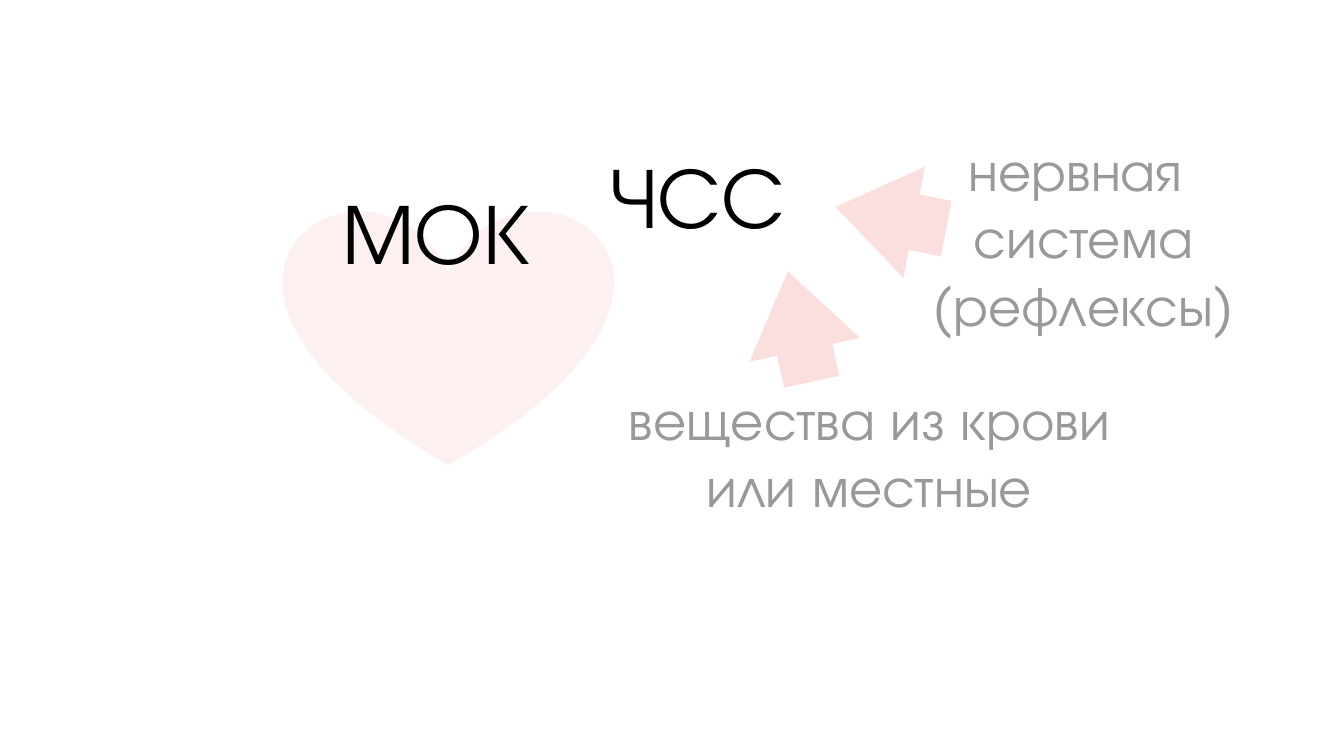
"""Builds a slide on what drives heart rate and cardiac output."""
from lxml import etree
from pptx import Presentation
from pptx.dml.color import RGBColor
from pptx.enum.shapes import MSO_SHAPE
from pptx.enum.text import MSO_ANCHOR, MSO_AUTO_SIZE, PP_ALIGN
from pptx.oxml.ns import qn
from pptx.util import Pt

HEART, ARROW = MSO_SHAPE.HEART, MSO_SHAPE.RIGHT_ARROW
BOTTOM, NO_FIT, CENTER = MSO_ANCHOR.BOTTOM, MSO_AUTO_SIZE.NONE, PP_ALIGN.CENTER
FONT = "TeX Gyre Adventor"
INSET = 7.2
RAISE = 55


def paint(color_format, color):
    color_format.rgb = RGBColor.from_string(color)


def add_figure(kind, left, top, width, height, color):
    figure = slide.shapes.add_shape(kind, Pt(left), Pt(top), Pt(width), Pt(height))
    figure.shadow.inherit = False
    figure.fill.solid()
    paint(figure.fill.fore_color, color)
    figure.line.fill.background()
    return figure


prs = Presentation()
prs.slide_width, prs.slide_height = Pt(720), Pt(405)
slide = prs.slides.add_slide(prs.slide_layouts[5])
output_title = slide.shapes.title

heart = add_figure(HEART, 152, 111.6, 176.4, 137.5, "F3A6A6")
heart_color = heart.fill._xPr.find(qn("a:solidFill"))[0]
etree.SubElement(heart_color, qn("a:alpha")).set("val", "16000")
output_title._element.addprevious(heart._element)

for left, top, angle in [(447, 86.4, 191), (398.2, 144.7, 257.8)]:
    influence = add_figure(ARROW, left, top, 60.5, 60.5, "FBDEDE")
    influence.rotation = angle
    influence.adjustments[0] = 0.5
    influence.adjustments[1] = 0.71

labels = [
    (output_title, (170.6, 135.4, 139, 77.8), ["МОК "], 46, "000000", RAISE),
    (None, (237.6, 115.9, 284.4, 77.8), ["ЧСС "], 46, "000000", RAISE),
    (None, (315.4, 199.4, 301, 85.7), ["вещества из крови или местные"], 30, "999999", 0),
    (None, (441.4, 82.8, 277.9, 105.1), ["нервная ", "система", "(рефлексы)"], 30, "999999", 0),
]
for label, box, lines, size, color, lift in labels:
    left, top, width, height = map(Pt, box)
    if label is None:
        label = slide.shapes.add_textbox(left, top, width, height)
    label.left, label.top, label.width, label.height = left, top, width, height
    frame = label.text_frame
    frame.word_wrap = True
    frame.auto_size = NO_FIT
    frame.vertical_anchor = BOTTOM
    frame.margin_left = frame.margin_right = frame.margin_top = Pt(INSET)
    frame.margin_bottom = Pt(INSET + lift)
    for number, line in enumerate(lines):
        paragraph = frame.add_paragraph() if number else frame.paragraphs[0]
        paragraph.alignment = CENTER
        run = paragraph.add_run()
        run.text = line
        run.font.name = FONT
        run.font.size = Pt(size)
        paint(run.font.color, color)

prs.save("out.pptx")
